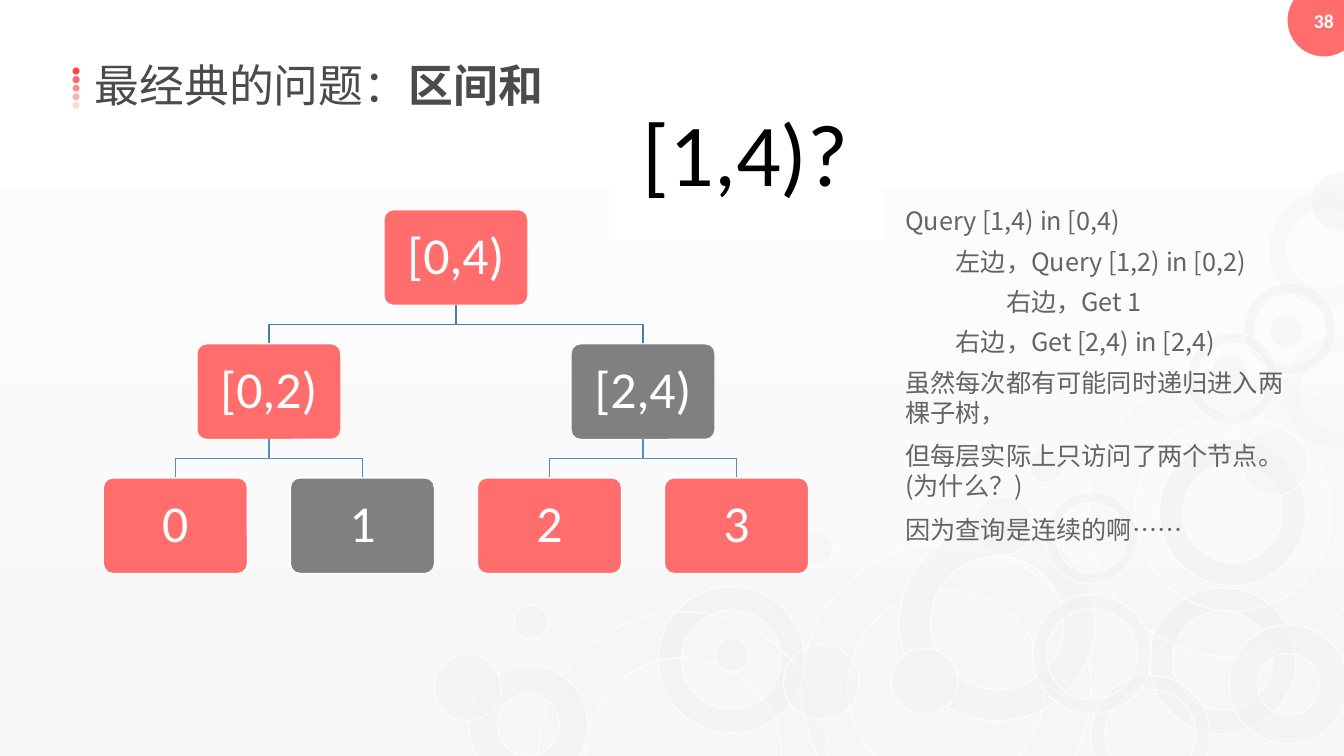
from lxml.etree import SubElement
from pptx import Presentation
from pptx.dml.color import RGBColor
from pptx.enum.shapes import MSO_SHAPE
from pptx.enum.text import MSO_ANCHOR, PP_ALIGN
from pptx.oxml.ns import qn
from pptx.util import Inches, Pt

WHITE = RGBColor(0xFF, 0xFF, 0xFF)
PALE = RGBColor(0xF7, 0xF7, 0xF7)
BUBBLE = RGBColor(0xF2, 0xF2, 0xF2)
BLACK = RGBColor(0, 0, 0)
CORAL = RGBColor(0xFF, 0x6D, 0x6D)
RED = RGBColor(0xFF, 0x43, 0x43)
GRAY = RGBColor(0x80, 0x80, 0x80)
TITLE_INK = RGBColor(0x4B, 0x4B, 0x4B)
NOTE_INK = RGBColor(0x64, 0x64, 0x64)
BRANCH_COLORS = [RGBColor(0x49, 0x7C, 0xAB), RGBColor(0x53, 0x8D, 0xC1)]
LATIN, CHINESE = "Calibri", "Noto Sans CJK SC"

TITLE = [("最经典的问题：", False), ("区间和", True)]
PAGE_NUMBER = "38"
QUESTION = "[1,4)?"
TREE = [["[0,4)"], ["[0,2)", "[2,4)"], ["0", "1", "2", "3"]]
ANSWER_NODES = {"1", "[2,4)"}
# text, indent level, lines it fills
NOTES = [
    ("Query [1,4) in [0,4)", 0, 1),
    ("左边，Query [1,2) in [0,2)", 1, 1),
    ("右边，Get 1", 2, 1),
    ("右边，Get [2,4) in [2,4)", 1, 1),
    ("虽然每次都有可能同时递归进入两棵子树，", 0, 2),
    ("但每层实际上只访问了两个节点。(为什么？)", 0, 2),
    ("因为查询是连续的啊……", 0, 1),
]
# diameter, ring thickness (0 is a full disc), opacity, left-top corners
BUBBLES = [
    (1.45, 0.159, 75, [(11.5, 4.36), (6.53, 5.82), (11.4, 5.83)]),
    (1.14, 0.159, 31, [(12.72, 3.32), (12.58, 1.9)]),
    (2.87, 0.159, 13, [(5.34, 6.07), (7.95, 5.4), (10.8, 3.65)]),
    (1.94, 0.159, 42, [(8.92, 5.21)]),
    (1.18, 0.117, 54, [(10.82, 6.7), (10.24, 5.9)]),
    (0.91, 0.117, 54, [(12.34, 2.81), (10.37, 4.88), (11.77, 3.3)]),
    (1.18, 0.24, 54, [(12.19, 6.2), (4.65, 6.6)]),
    (0.75, 0, 39, [(7.77, 6.39)]),
    (0.66, 0, 47, [(12.31, 4.26), (4.31, 6.49), (8.84, 6.43)]),
    (0.59, 0, 47, [(9.65, 4.92), (13, 1.71)]),
    (0.34, 0, 47, [(12.02, 3.51), (7.92, 5.27), (7.09, 6.33), (10.2, 4.45),
                   (12.59, 3.12), (5.1, 6)]),
]

LEAF_CENTER, COLUMN = 1.74, 1.855
TREE_TOP, ROW = 2.08, 1.33
NODE_W, NODE_H = 1.43, 0.95
NOTES_LEFT, NOTES_TOP, NOTES_W = 8.88, 1.99, 4
NOTE_HEIGHTS = {1: 0.4, 2: 0.73}
DOT_LEFT, DOT_TOP, DOT_SIZE, DOT_STEP, DOT_COUNT = 0.72, 0.67, 0.07, 0.085, 5

prs = Presentation()
prs.slide_width, prs.slide_height = Inches(13.33), Inches(7.5)
slide = prs.slides.add_slide(prs.slide_layouts[6])


def set_opacity(fill_parent, percent):
    color = fill_parent.find(qn("a:solidFill"))[0]
    SubElement(color, qn("a:alpha")).set("val", str(percent * 1000))


def add_filled(kind, left, top, width, height, color, opacity=100,
               edge=None, edge_opacity=100, adjust=None):
    shape = slide.shapes.add_shape(
        kind, Inches(left), Inches(top), Inches(width), Inches(height))
    shape.shadow.inherit = False
    if adjust:
        shape.adjustments[0] = adjust
    shape.fill.solid()
    shape.fill.fore_color.rgb = color
    if opacity < 100:
        set_opacity(shape.fill._xPr, opacity)
    if edge is None:
        shape.line.fill.background()
    else:
        shape.line.color.rgb = edge
        shape.line.width = Pt(1)
        if edge_opacity < 100:
            set_opacity(shape.line._get_or_add_ln(), edge_opacity)
    return shape


def write(shape, runs, size, color, font=LATIN, align=PP_ALIGN.LEFT,
          anchor=MSO_ANCHOR.TOP, wrap=True, inset=None, spacing=None, level=0):
    """Fill one paragraph; runs is a list of (text, bold)."""
    frame = shape.text_frame
    frame.word_wrap = wrap
    frame.vertical_anchor = anchor
    if inset is not None:
        frame.margin_left = frame.margin_right = Inches(inset)
        frame.margin_top = frame.margin_bottom = Inches(inset)
    paragraph = frame.paragraphs[0]
    paragraph.alignment = align
    if spacing:
        paragraph.line_spacing = spacing
    if level:
        paragraph.level = level
        paragraph._p.get_or_add_pPr().set("marL", str(Inches(level * 0.5)))
    for text, bold in runs:
        run = paragraph.add_run()
        run.text = text
        run.font.size, run.font.bold = Pt(size), bold
        run.font.color.rgb = color
        run.font.name = font
        SubElement(run.font._element, qn("a:ea")).set("typeface", font)


def add_text(left, top, width, height, runs, **style):
    box = slide.shapes.add_textbox(
        Inches(left), Inches(top), Inches(width), Inches(height))
    write(box, runs, **style)


def add_branch(start, end, color):
    (x1, y1), (x2, y2) = start, end
    middle = (y1 + y2) / 2
    points = [(Inches(x), Inches(y))
              for x, y in [(x1, middle), (x2, middle), (x2, y2)]]
    builder = slide.shapes.build_freeform(Inches(x1), Inches(y1))
    builder.add_line_segments(points, close=False)
    branch = builder.convert_to_shape()
    branch.shadow.inherit = False
    branch.fill.background()
    branch.line.color.rgb = color
    branch.line.width = Pt(1)


def node_center(depth, index):
    span = len(TREE[-1]) / len(TREE[depth])
    return LEAF_CENTER + COLUMN * (span * (index + 0.5) - 0.5)


backdrop = slide.background.fill
backdrop.gradient()
backdrop.gradient_angle = 270
for stop, color in zip(backdrop.gradient_stops, (WHITE, PALE)):
    stop.color.rgb = color

for size, ring, opacity, corners in BUBBLES:
    kind = MSO_SHAPE.DONUT if ring else MSO_SHAPE.OVAL
    for left, top in corners:
        add_filled(kind, left, top, size, size, BUBBLE, opacity=opacity,
                   edge=WHITE, edge_opacity=70, adjust=ring)

for i in range(DOT_COUNT):
    add_filled(MSO_SHAPE.OVAL, DOT_LEFT, DOT_TOP + i * DOT_STEP, DOT_SIZE,
               DOT_SIZE, RED, opacity=100 - 20 * i)

centered = dict(align=PP_ALIGN.CENTER, anchor=MSO_ANCHOR.MIDDLE)
page_badge = add_filled(MSO_SHAPE.OVAL, 12.77, -0.16, 0.72, 0.72, CORAL)
write(page_badge, [(PAGE_NUMBER, True)], 14, WHITE, inset=0, **centered)
add_text(0.84, 0.52, 4.69, 0.64, TITLE, size=32, color=TITLE_INK,
         font=CHINESE, wrap=False)

for depth, labels in enumerate(TREE):
    top = TREE_TOP + depth * ROW
    for i, label in enumerate(labels):
        center = node_center(depth, i)
        if depth:
            parent = (node_center(depth - 1, i // 2), top - ROW + NODE_H)
            add_branch(parent, (center, top), BRANCH_COLORS[depth - 1])
        node = add_filled(MSO_SHAPE.ROUNDED_RECTANGLE, center - NODE_W / 2,
                          top, NODE_W, NODE_H,
                          GRAY if label in ANSWER_NODES else CORAL,
                          edge=WHITE, adjust=0.1)
        write(node, [(label, False)], 37, WHITE, inset=0.18, spacing=0.9,
              **centered)

question = add_filled(MSO_SHAPE.RECTANGLE, 6.04, 0.76, 2.71, 1.62, WHITE)
write(question, [(QUESTION, False)], 63, BLACK, inset=0.26, spacing=0.9,
      **centered)

top = NOTES_TOP
for text, level, lines in NOTES:
    height = NOTE_HEIGHTS[lines]
    add_text(NOTES_LEFT, top, NOTES_W, height, [(text, False)], size=18,
             color=NOTE_INK, font=CHINESE, level=level)
    top += height

prs.save("out.pptx")
